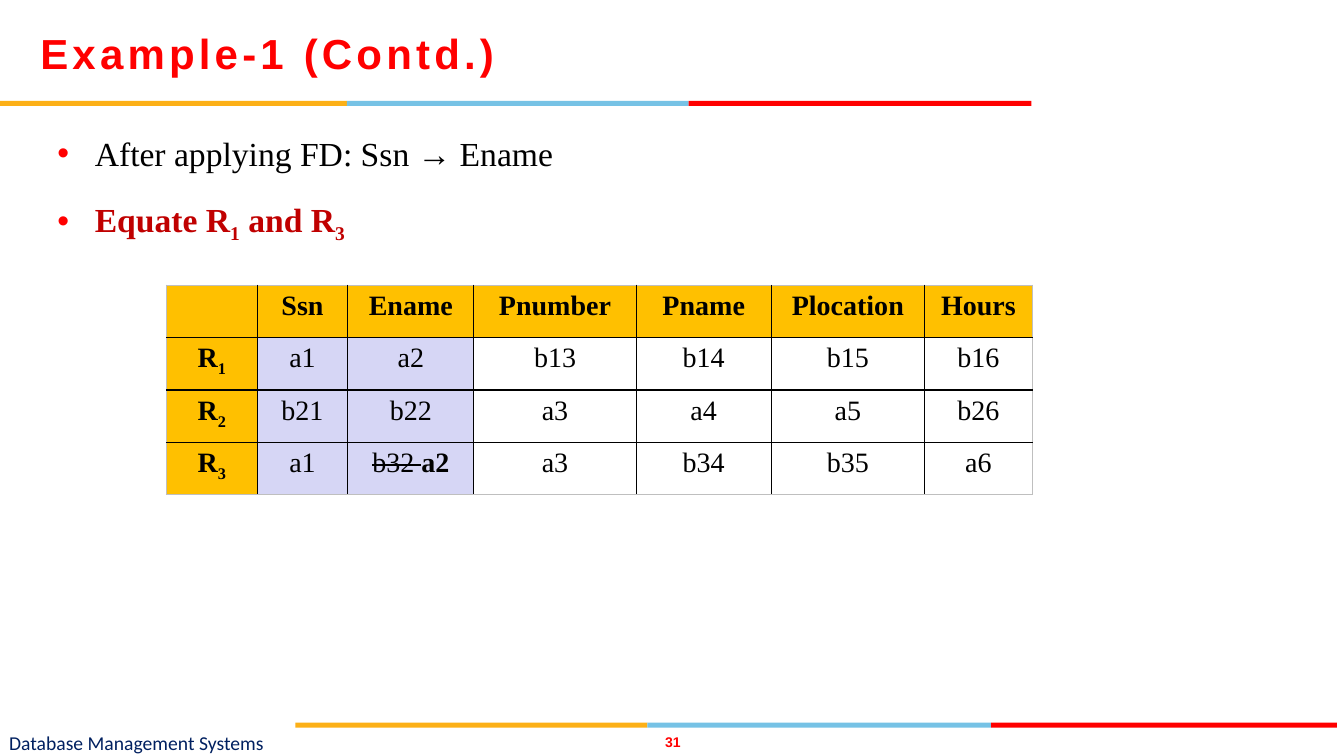
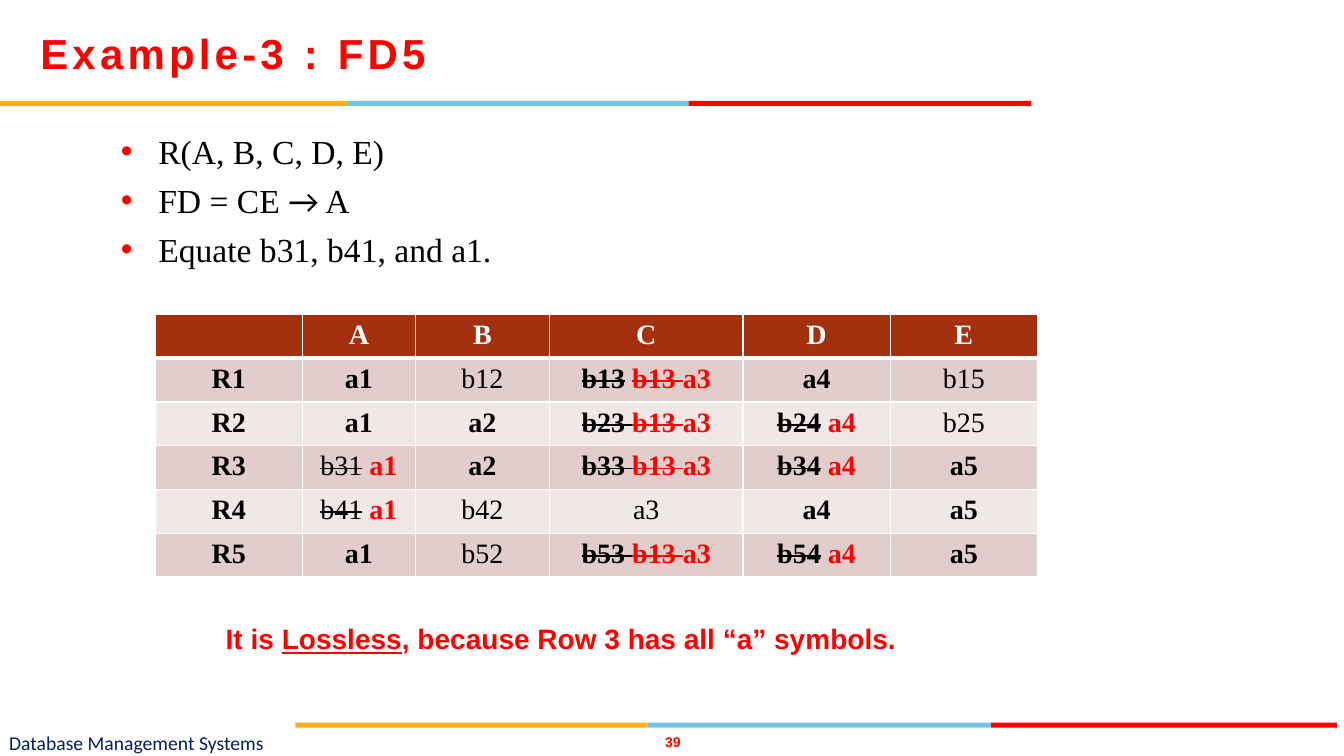
from lxml import etree
from pptx import Presentation, util as u
from pptx.dml.color import RGBColor
from pptx.enum import shapes, text
from pptx.oxml import ns

C = {"red": "FF0000", "crimson": "C00000", "gold": "FCB017", "sky": "76C2E5",
     "navy": "002060", "black": "000000", "white": "FFFFFF", "grey": "BFBFBF",
     "amber": "FFC000", "lilac": "D6D6F5", "rust": "A53010",
     "rose": "E1CDCC", "blush": "F0E8E7"}
SERIF, SANS = "Times New Roman", "Arial"
BANDS = [(1, [0, 3.44, 6.83, 10.23]), (7.17, [2.93, 6.42, 9.83, 13.26])]

# Runs are split by "|"; letters before "~" set the format of a run:
# b bold, s strike, u underline, r red, d crimson, c Calibri, - subscript
SLIDES = [
    dict(title="Example-1 (Contd.)", number="31", body=(0.57, 1.27, 11.58, 6), after=12,
         bullets=["After applying FD: Ssn → Ename",
                  "bd~Equate R|bd-~1|bd~ and R|bd-~3"],
         at=(1.65, 2.83), cols=[0.9, 0.9, 1.25, 1.61, 1.34, 1.52, 1.07], row_h=0.52,
         rows=[["", "b~Ssn", "b~Ename", "b~Pnumber", "b~Pname", "b~Plocation", "b~Hours"],
               ["b~R|b-~1", "a1", "a2", "b13", "b14", "b15", "b16"],
               ["b~R|b-~2", "b21", "b22", "a3", "a4", "a5", "b26"],
               ["b~R|b-~3", "a1", "s~b32 |b~a2", "a3", "b34", "b35", "a6"]],
         head="black", line="black", edge="grey", rule=1,
         fill=lambda i, j: "amber" if i * j == 0 else "lilac" if j < 3 else "white"),
    dict(title="Example-3 : FD5", number="39", body=(1.2, 1.25, 9.19, 5.69), after=0,
         bullets=["R(A, B, C, D, E)", "FD = CE |c~→| A", "Equate b31, b41, and a1."],
         at=(1.54, 3.12), cols=[1.46, 1.12, 1.33, 1.92, 1.46, 1.46], row_h=0.41,
         rows=[["", "b~A", "b~B", "b~C", "b~D", "b~E"],
               ["b~R1", "b~a1", "b12", "bs~b13|b~ |bsr~b13 |br~a3", "b~a4", "b15"],
               ["b~R2", "b~a1", "b~a2", "bs~b23 |bsr~b13 |br~a3", "bs~b24|b~ |br~a4", "b25"],
               ["b~R3", "s~b31| |br~a1", "b~a2", "bs~b33 |bsr~b13 |br~a3",
                "bs~b34|b~ |br~a4", "b~a5"],
               ["b~R4", "s~b41| |br~a1", "b42", "a3", "b~a4", "b~a5"],
               ["b~R5", "b~a1", "b52", "bs~b53 |bsr~b13 |br~a3", "bs~b54|b~ |br~a4", "b~a5"]],
         head="white", line="white", edge="white", rule=3,
         fill=lambda i, j: "rust" if i == 0 else "rose" if i % 2 else "blush",
         note="b~It is |bu~Lossless|b~, because Row 3 has all “a” symbols."),
]


def write(p, marked, size=20, font=SERIF, color="black", align=None, spacing=None):
    p.alignment = align
    for part in marked.split("|"):
        flags, _, words = part.rpartition("~")
        r = p.add_run()
        r.text = words
        f = r.font
        f.size, f.name = u.Pt(size), "Calibri" if "c" in flags else font
        f.bold, f.underline = "b" in flags, "u" in flags
        shade = "red" if "r" in flags else "crimson" if "d" in flags else color
        f.color.rgb = RGBColor.from_string(C[shade])
        rPr = r._r.get_or_add_rPr()
        if "s" in flags:
            rPr.set("strike", "sngStrike")
        if "-" in flags:
            rPr.set("baseline", "-25000")
        if spacing:
            rPr.set("spc", str(spacing * 100))


def add_box(s, at, anchor=text.MSO_ANCHOR.MIDDLE, inset=(0, 0)):
    tf = s.shapes.add_textbox(*map(u.Inches, at)).text_frame
    tf.word_wrap, tf.vertical_anchor = True, anchor
    tf.margin_left = tf.margin_right = u.Inches(inset[0])
    tf.margin_top = tf.margin_bottom = u.Inches(inset[1])
    return tf


prs = Presentation()
prs.slide_width, prs.slide_height = u.Inches(13.33), u.Inches(7.5)
CENTER, TOP = text.PP_ALIGN.CENTER, text.MSO_ANCHOR.TOP

for d in SLIDES:
    s = prs.slides.add_slide(prs.slide_layouts[6])

    # Three-colour bands
    for top, stops in BANDS:
        for left, right, color in zip(stops, stops[1:], ["gold", "sky", "red"]):
            sp = s.shapes.add_shape(shapes.MSO_SHAPE.RECTANGLE, u.Inches(left), u.Inches(top),
                                    u.Inches(right - left), u.Inches(0.05))
            sp.shadow.inherit = False
            sp.fill.solid()
            sp.fill.fore_color.rgb = RGBColor.from_string(C[color])
            sp.line.fill.background()

    # Footer, slide number and title
    tf = add_box(s, (0.09, 7.23, 4.96, 0.27))
    write(tf.paragraphs[0], "Database Management Systems", 14, "Calibri", "navy")
    tf = add_box(s, (6.51, 7.28, 0.33, 0.17))
    write(tf.paragraphs[0], "b~" + d["number"], 10, SANS, "red", CENTER)
    tf = add_box(s, (0.4, 0.1, 9.99, 0.85))
    write(tf.paragraphs[0], "b~" + d["title"], 30, SANS, "red", spacing=3)

    # Bullets
    tf = add_box(s, d["body"], TOP, (0, 0.05))
    for i, bullet in enumerate(d["bullets"]):
        p = tf.add_paragraph() if i else tf.paragraphs[0]
        write(p, bullet, 24)
        p.space_before, p.space_after = u.Pt(6), u.Pt(d["after"])
        pPr = p._p.get_or_add_pPr()
        pPr.set("marL", str(u.Inches(0.37)))
        pPr.set("indent", str(-u.Inches(0.37)))
        buClr = etree.SubElement(pPr, ns.qn("a:buClr"))
        etree.SubElement(buClr, ns.qn("a:srgbClr"), val=C["red"])
        etree.SubElement(pPr, ns.qn("a:buFont"), typeface=SANS)
        etree.SubElement(pPr, ns.qn("a:buChar"), char="•")

    # Table
    rows, cols = d["rows"], d["cols"]
    last_i, last_j = len(rows) - 1, len(cols) - 1
    left, top = d["at"]
    tbl = s.shapes.add_table(len(rows), len(cols), u.Inches(left), u.Inches(top),
                             u.Inches(sum(cols)), u.Inches(d["row_h"] * len(rows))).table
    for column, width in zip(tbl.columns, cols):
        column.width = u.Inches(width)
    for i, row in enumerate(rows):
        tbl.rows[i].height = u.Inches(d["row_h"])
        for j, marked in enumerate(row):
            cell = tbl.cell(i, j)
            write(cell.text_frame.paragraphs[0], marked,
                  color="black" if i else d["head"], align=CENTER)
            # Borders: the outer edge and the rule below the header differ
            tcPr = cell._tc.get_or_add_tcPr()
            for side, outer, header in [("L", j == 0, False), ("R", j == last_j, False),
                                        ("T", i == 0, i == 1), ("B", i == last_i, i == 0)]:
                ln = etree.SubElement(tcPr, ns.qn("a:ln" + side),
                                      w=str(u.Pt(d["rule"] if header else 1)))
                solid = etree.SubElement(ln, ns.qn("a:solidFill"))
                etree.SubElement(solid, ns.qn("a:srgbClr"), val=C[d["edge" if outer else "line"]])
            cell.fill.solid()
            cell.fill.fore_color.rgb = RGBColor.from_string(C[d["fill"](i, j)])

    # Conclusion
    if "note" in d:
        tf = add_box(s, (2.14, 6.12, 7.25, 0.44), TOP, (0.1, 0.05))
        write(tf.paragraphs[0], d["note"], 20, SANS, "red")

prs.save("out.pptx")
